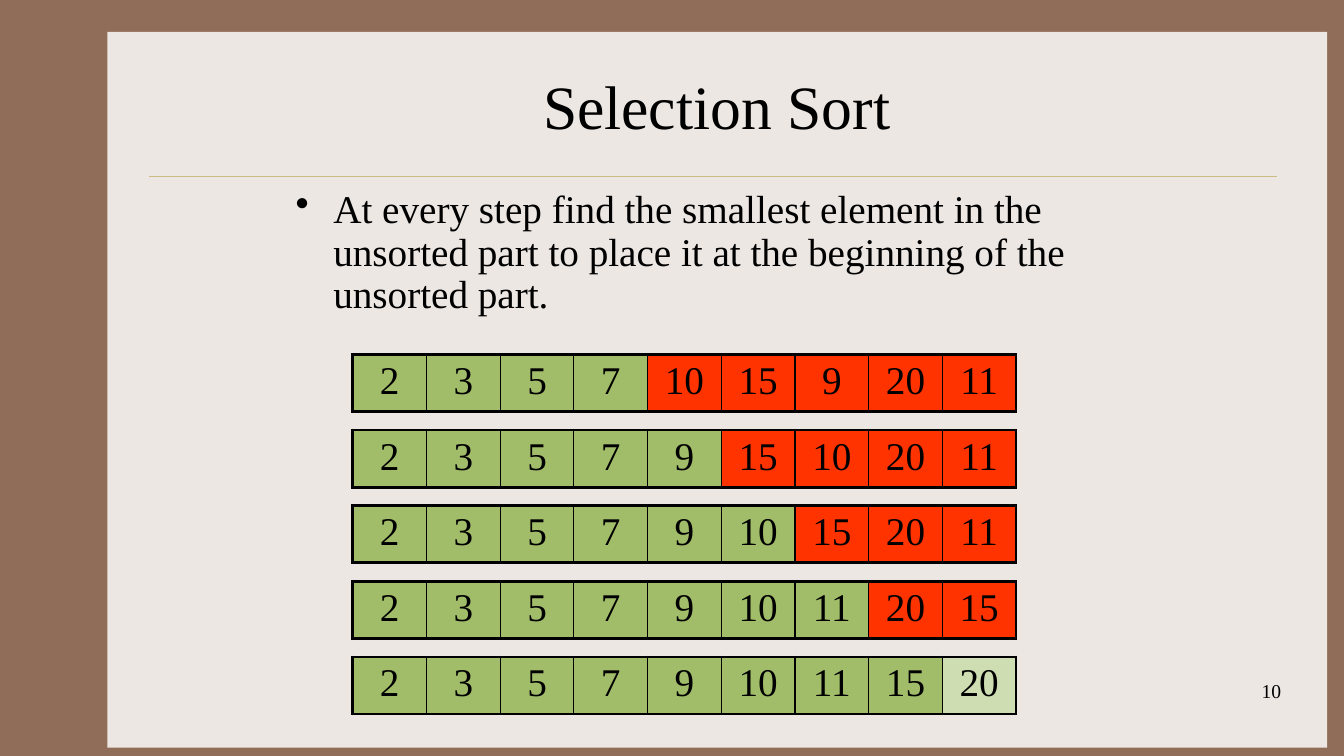
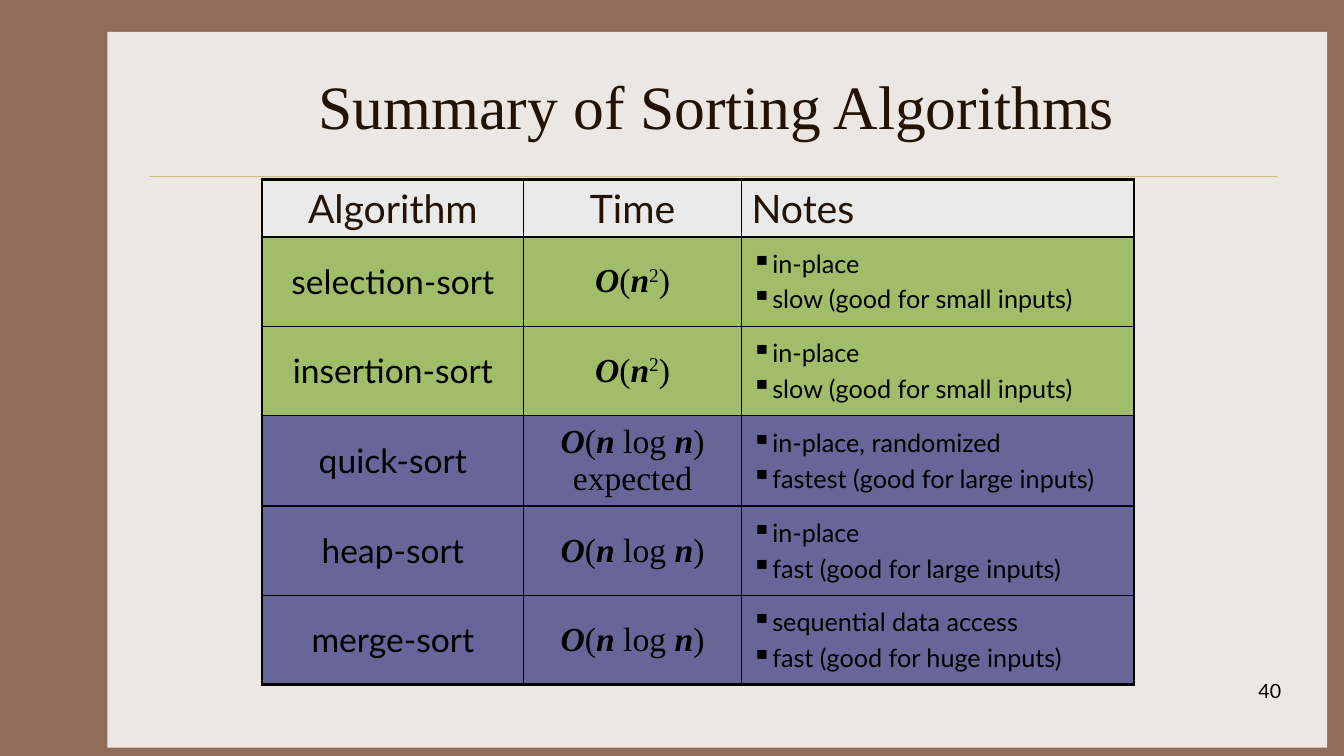
from dataclasses import dataclass

from lxml.etree import SubElement
from pptx import Presentation
from pptx.dml.color import RGBColor
from pptx.enum.shapes import MSO_CONNECTOR as Connector, MSO_SHAPE as Shape
from pptx.enum.text import MSO_ANCHOR as Anchor, PP_ALIGN as Align
from pptx.oxml.ns import qn
from pptx.util import Inches, Pt

COLORS = {
    "frame": "906D58",
    "panel": "EDE7E3",
    "rule": "CBBD83",
    "ink": "000000",
    "brown": "221304",
    "header": "EAEAEA",
    "sorted": "A1BD69",
    "unsorted": "FF3300",
    "last": "CFDDB3",
    "fast": "666699",
}
SERIF, SANS = "Times New Roman", "Lato"
COLUMNS, ROWS = 160, 90
UNIT = Inches(1 / 12)
THICK, THIN = 2.25, 1

ARRAY_STEPS = [
    ([2, 3, 5, 7, 10, 15, 9, 20, 11], 4),
    ([2, 3, 5, 7, 9, 15, 10, 20, 11], 5),
    ([2, 3, 5, 7, 9, 10, 15, 20, 11], 6),
    ([2, 3, 5, 7, 9, 10, 11, 20, 15], 7),
    ([2, 3, 5, 7, 9, 10, 11, 15, 20], 8),
]
QUADRATIC = [("O", "bi"), ("(", ""), ("n", "bi"), ("2", "sup"), (")", "")]
LOGARITHMIC = [("O", "bi"), ("(", ""), ("n", "bi"), (" log ", ""), ("n", "bi"), (")", "")]
EXPECTED = LOGARITHMIC + [("\n", ""), ("expected", "")]
ALGORITHMS = [
    ("selection-sort", QUADRATIC, ["in-place", "slow (good for small inputs)"], "sorted"),
    ("insertion-sort", QUADRATIC, ["in-place", "slow (good for small inputs)"], "sorted"),
    ("quick-sort", EXPECTED, ["in-place, randomized", "fastest (good for large inputs)"], "fast"),
    ("heap-sort", LOGARITHMIC, ["in-place", "fast (good for large inputs)"], "fast"),
    ("merge-sort", LOGARITHMIC, ["sequential data access", "fast (good for huge inputs)"], "fast"),
]


@dataclass
class Box:
    """A rectangle measured in grid columns and rows."""
    left: float
    top: float
    width: float
    height: float

    def inner(self, left, top, width, height):
        """Return a box placed relative to this one."""
        return Box(self.left + left, self.top + top, width, height)

    def lengths(self):
        """Return left, top, width and height as slide lengths."""
        return [units(n) for n in (self.left, self.top, self.width, self.height)]


def units(count):
    """Turn a count of grid units into a slide length."""
    return int(round(count * UNIT))


def rgb(name):
    """Look up a named colour."""
    return RGBColor.from_string(COLORS[name])


def write(paragraph, runs, size, font=SERIF, color="ink", align=Align.LEFT):
    """Fill a paragraph with (text, style) runs."""
    paragraph.alignment = align
    for text, style in runs:
        if text == "\n":
            paragraph.add_line_break()
            continue
        run = paragraph.add_run()
        run.text = text
        run.font.size = Pt(size)
        run.font.name = font
        run.font.color.rgb = rgb(color)
        run.font.bold = run.font.italic = style == "bi"
        if style == "sup":
            run.font._element.set("baseline", "30000")


def add_bullet(paragraph, mark, indent, percent=100):
    """Give a paragraph a hanging bullet."""
    properties = paragraph._p.get_or_add_pPr()
    properties.set("marL", str(units(indent)))
    properties.set("indent", str(-units(indent)))
    SubElement(properties, qn("a:buSzPct"), val=str(percent * 1000))
    SubElement(properties, qn("a:buChar"), char=mark)


def add_text(slide, box, anchor=Anchor.TOP):
    """Add a wrapping text box and return its first paragraph."""
    frame = slide.shapes.add_textbox(*box.lengths()).text_frame
    frame.word_wrap = True
    frame.vertical_anchor = anchor
    return frame.paragraphs[0]


def add_grid(slide, box, widths, heights, header=False):
    """Add a plain table with a thick outline and thin inner lines."""
    grid = slide.shapes.add_table(len(heights), len(widths), *box.lengths()).table
    grid.first_row = grid.horz_banding = False
    for column, width in zip(grid.columns, widths):
        column.width = units(width)
    for row, height in zip(grid.rows, heights):
        row.height = units(height)
    last_row, last_column = len(heights) - 1, len(widths) - 1
    for r in range(len(heights)):
        for c in range(len(widths)):
            outline = {
                "lnL": c == 0,
                "lnR": c == last_column,
                "lnT": r == 0 or header and r == 1,
                "lnB": r == last_row or header and r == 0,
            }
            properties = grid.cell(r, c)._tc.get_or_add_tcPr()
            for side, thick in outline.items():
                width = Pt(THICK if thick else THIN)
                edge = SubElement(properties, qn("a:" + side), w=str(width))
                fill = SubElement(edge, qn("a:solidFill"))
                SubElement(fill, qn("a:srgbClr"), val=COLORS["ink"])
    return grid


def paint(cell, color, anchor=Anchor.TOP):
    """Fill a cell, anchor its text and return its first paragraph."""
    cell.fill.solid()
    cell.fill.fore_color.rgb = rgb(color)
    cell.vertical_anchor = anchor
    return cell.text_frame.paragraphs[0]


def add_frame(deck, box, title, number, title_color="ink", number_font=SERIF):
    """Start a slide with its border, panel, title, rule and number."""
    slide = deck.slides.add_slide(deck.slide_layouts[6])
    slide.background.fill.solid()
    slide.background.fill.fore_color.rgb = rgb("frame")

    panel = slide.shapes.add_shape(Shape.RECTANGLE, *box.inner(12.8, 3.8, 145.2, 85.2).lengths())
    panel.shadow.inherit = False
    panel.fill.solid()
    panel.fill.fore_color.rgb = rgb("panel")
    panel.line.fill.background()

    left, top, width, _ = box.inner(17.8, 21, 134.2, 0).lengths()
    rule = slide.shapes.add_connector(Connector.STRAIGHT, left, top, left + width, top)
    rule.line.color.rgb = rgb("rule")
    rule.line.width = Pt(0.25)
    SubElement(rule._element.spPr, qn("a:effectLst"))

    heading = add_text(slide, box.inner(18.7, 5, 133.3, 15), Anchor.MIDDLE)
    write(heading, [(title, "")], 44, color=title_color, align=Align.CENTER)
    page = add_text(slide, box.inner(120.4, 80.2, 33.3, 6))
    write(page, [(number, "")], 14, number_font, align=Align.RIGHT)
    return slide


def add_array(slide, box, values, sorted_count):
    """Draw one state of the array as a row of cells."""
    width = box.width / len(values)
    array = add_grid(slide, box, [width] * len(values), [box.height])
    rest = "last" if sorted_count == len(values) - 1 else "unsorted"
    for index, value in enumerate(values):
        color = "sorted" if index < sorted_count else rest
        paragraph = paint(array.cell(0, index), color)
        write(paragraph, [(str(value), "")], 28, align=Align.CENTER)


def add_selection_slide(deck, box):
    """Build the slide that traces selection sort."""
    slide = add_frame(deck, box, "Selection Sort", "10")
    idea = add_text(slide, box.inner(34, 22, 100, 9))
    add_bullet(idea, "•", 4.5)
    idea.line_spacing = 0.9
    write(idea, [("At every step find the smallest element in the unsorted part "
                  "to place it at the beginning of the unsorted part.", "")], 28)
    for step, (values, sorted_count) in enumerate(ARRAY_STEPS):
        add_array(slide, box.inner(42, 42.2 + 9 * step, 79, 6.8), values, sorted_count)


def add_comparison(slide, box):
    """Draw the table that compares the algorithms."""
    widths = [box.width * share for share in (0.3, 0.25, 0.45)]
    header_height = 6.8
    row_height = (box.height - header_height) / len(ALGORITHMS)
    heights = [header_height] + [row_height] * len(ALGORITHMS)
    table = add_grid(slide, box, widths, heights, header=True)

    headings = [("Algorithm", Align.CENTER), ("Time", Align.CENTER), ("Notes", Align.LEFT)]
    for column, (heading, align) in enumerate(headings):
        paragraph = paint(table.cell(0, column), "header", Anchor.MIDDLE)
        write(paragraph, [(heading, "")], 28, SANS, "brown", align)

    for row, (name, time, notes, color) in enumerate(ALGORITHMS, 1):
        name_text, time_text, note_text = [
            paint(table.cell(row, column), color, Anchor.MIDDLE) for column in range(3)]
        write(name_text, [(name, "")], 24, SANS, align=Align.CENTER)
        write(time_text, time, 24, align=Align.CENTER)
        for index, note in enumerate(notes):
            if index:
                note_text = table.cell(row, 2).text_frame.add_paragraph()
                note_text.space_before = Pt(3.6)
            add_bullet(note_text, "▪", 1.9, 110)
            write(note_text, [(note, "")], 18, SANS)


def add_summary_slide(deck, box):
    """Build the slide that sums up the sorting algorithms."""
    slide = add_frame(deck, box, "Summary of Sorting Algorithms", "40", "brown", SANS)
    add_comparison(slide, box.inner(31.2, 21.4, 103.8, 59.9))


def main():
    """Build and save the deck."""
    deck = Presentation()
    deck.slide_width, deck.slide_height = units(COLUMNS), units(ROWS)
    page = Box(0, 0, COLUMNS, ROWS)
    add_selection_slide(deck, page)
    add_summary_slide(deck, page)
    deck.save("out.pptx")


if __name__ == "__main__":
    main()
